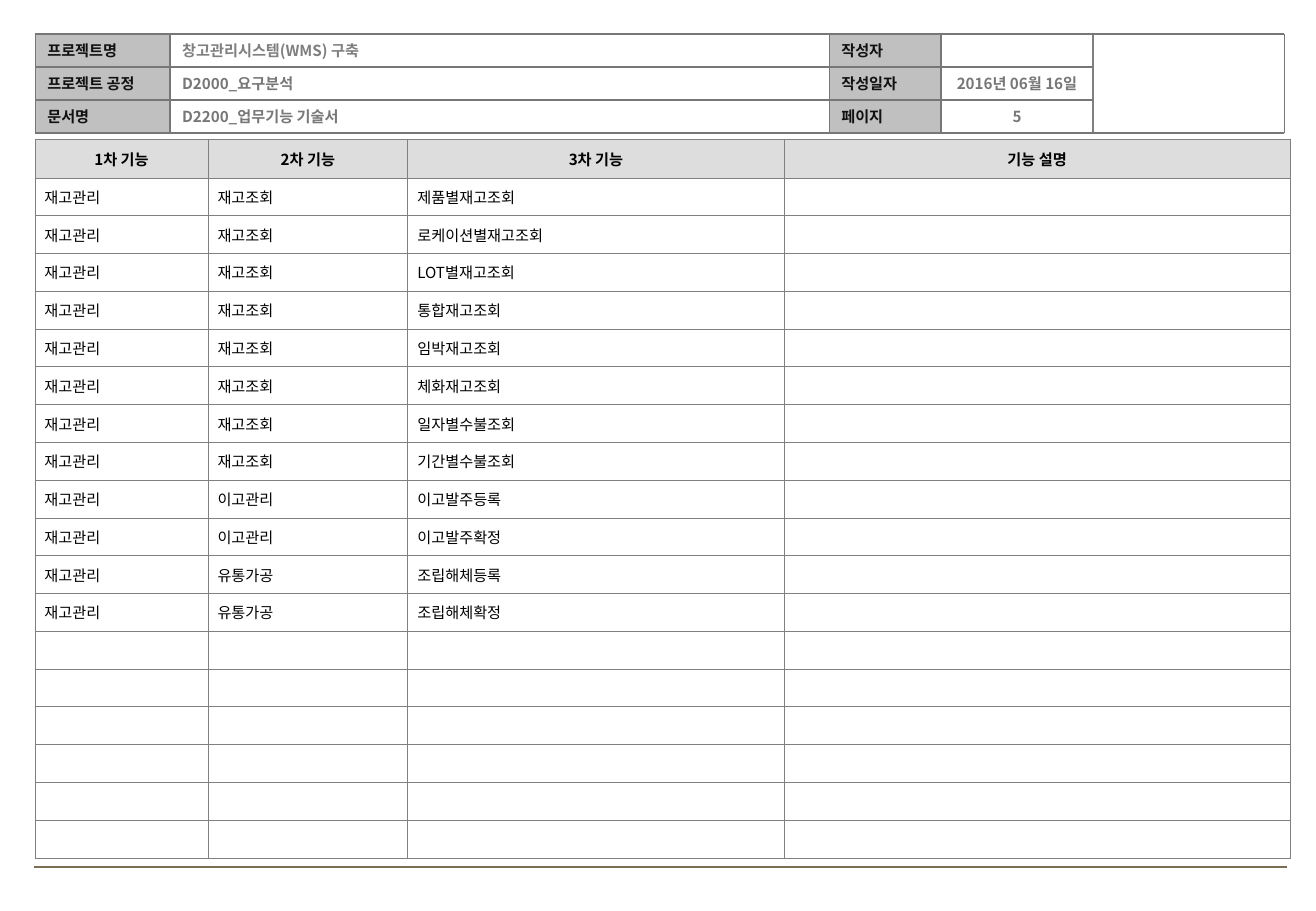
"""Builds the function description sheet of a warehouse system project."""
import lxml.etree
import pptx
import pptx.dml.color
import pptx.enum.shapes
import pptx.enum.text
import pptx.oxml.ns
import pptx.util

Cm, Pt = pptx.util.Cm, pptx.util.Pt
RGB = pptx.dml.color.RGBColor.from_string
ALIGN = pptx.enum.text.PP_ALIGN
MID = pptx.enum.text.MSO_ANCHOR.MIDDLE
qn = pptx.oxml.ns.qn

THEME = {
    "font": "Noto Sans CJK KR", "size": 9,
    "label": "111111", "value": "777777", "name": "7F7F7F", "text": "000000",
    "tag": "C0C0C0", "head": "DDDDDD",
    "rule": "777777", "edge": "808080", "foot": "7A6F54",
    "thin": 0.45, "line": 1, "thick": 1.75,
}

FORM = [
    ("프로젝트명", "창고관리시스템(WMS) 구축", "작성자", ""),
    ("프로젝트 공정", "D2000_요구분석", "작성일자", "2016년 06월 16일"),
    ("문서명", "D2200_업무기능 기술서", "페이지", "5"),
]
HEADS = ["1차 기능", "2차 기능", "3차 기능", "기능 설명"]
STOCK = "재고관리"
TASKS = [
    ("재고조회", ["제품별재고조회", "로케이션별재고조회", "LOT별재고조회",
              "통합재고조회", "임박재고조회", "체화재고조회",
              "일자별수불조회", "기간별수불조회"]),
    ("이고관리", ["이고발주등록", "이고발주확정"]),
    ("유통가공", ["조립해체등록", "조립해체확정"]),
]
SPARE = 6

EDGES = [0.74, 3.56, 17.35, 19.69, 22.86, 26.87]
TOP, STEP = 0.71, 0.69
WIDTHS = [3.62, 4.18, 7.87, 10.59]
LEFT, START, HEAD_H, ROW_H = 0.73, 2.91, 0.81, 0.79
FOOT = (0.71, 18.13, 26.92, 18.13)


def write(frame, text, color, bold=False, align=ALIGN.LEFT):
    """Put one styled line of text in a frame."""
    frame.text = text
    para = frame.paragraphs[0]
    para.alignment = align
    for run in para.runs:
        font = run.font
        font.size, font.bold = Pt(THEME["size"]), bold
        font.color.rgb = RGB(color)
        font.name = THEME["font"]
        lxml.etree.SubElement(run._r.rPr, qn("a:ea"), typeface=THEME["font"])
    if not text:
        size = str(THEME["size"] * 100)
        lxml.etree.SubElement(para._p, qn("a:endParaRPr"), sz=size)


def rule(slide, ends, color, width):
    """Draw a straight line between two points."""
    kind = pptx.enum.shapes.MSO_CONNECTOR.STRAIGHT
    line = slide.shapes.add_connector(kind, *map(Cm, ends))
    line.line.color.rgb = RGB(color)
    line.line.width = Pt(width)
    lxml.etree.SubElement(line._element.spPr, qn("a:effectLst"))


def entry(slide, row, col, text):
    """Place one label or value of the form."""
    box = [Cm(n) for n in (EDGES[col], TOP + row * STEP,
                           EDGES[col + 1] - EDGES[col], STEP)]
    tag = col % 2 == 0
    if tag:
        kind = pptx.enum.shapes.MSO_SHAPE.RECTANGLE
        shape = slide.shapes.add_shape(kind, *box)
        shape.shadow.inherit = False
        shape.fill.solid()
        shape.fill.fore_color.rgb = RGB(THEME["tag"])
        shape.line.fill.background()
    else:
        shape = slide.shapes.add_textbox(*box)
    frame = shape.text_frame
    frame.word_wrap, frame.vertical_anchor = True, MID
    center = col == 3
    frame.margin_left = frame.margin_right = Cm(0 if center else 0.25)
    frame.margin_top = frame.margin_bottom = 0
    tone = "label" if tag else "value" if row or center else "name"
    write(frame, text, THEME[tone], True, ALIGN.CENTER if center else ALIGN.LEFT)


def form(slide):
    """Draw the document form with its grid lines."""
    for row, items in enumerate(FORM):
        for col, text in enumerate(items):
            if text:
                entry(slide, row, col, text)
    last = len(FORM)
    for x in EDGES:
        color = THEME["edge" if x == EDGES[4] else "rule"]
        rule(slide, (x, TOP, x, TOP + last * STEP), color, THEME["line"])
    for row in range(last + 1):
        y = TOP + row * STEP
        end = EDGES[-1] if row in (0, last) else EDGES[-2]
        rule(slide, (EDGES[0], y, end, y), THEME["rule"], THEME["line"])


def border(cell):
    """Give a cell thin lines on its four sides."""
    props = cell._tc.get_or_add_tcPr()
    for side in ("lnL", "lnR", "lnT", "lnB"):
        width = str(int(Pt(THEME["thin"])))
        line = lxml.etree.SubElement(props, qn("a:" + side), w=width)
        fill = lxml.etree.SubElement(line, qn("a:solidFill"))
        lxml.etree.SubElement(fill, qn("a:srgbClr"), val=THEME["edge"])


def chart(slide):
    """Build the table of functions."""
    rows = [HEADS]
    rows += [(STOCK, group, task, "") for group, tasks in TASKS for task in tasks]
    rows += [[""] * len(HEADS)] * SPARE
    high = HEAD_H + ROW_H * (len(rows) - 1)
    table = slide.shapes.add_table(len(rows), len(HEADS), Cm(LEFT), Cm(START),
                                   Cm(sum(WIDTHS)), Cm(high)).table
    table.horz_banding = False
    for col, width in enumerate(WIDTHS):
        table.columns[col].width = Cm(width)
    for row, items in enumerate(rows):
        head = row == 0
        table.rows[row].height = Cm(HEAD_H if head else ROW_H)
        for col, text in enumerate(items):
            cell = table.cell(row, col)
            cell.vertical_anchor = MID
            cell.margin_left = cell.margin_right = Cm(0.2)
            cell.margin_top = cell.margin_bottom = Cm(0.13)
            border(cell)
            if head:
                cell.fill.solid()
                cell.fill.fore_color.rgb = RGB(THEME["head"])
            else:
                cell.fill.background()
            write(cell.text_frame, text, THEME["text"], head,
                  ALIGN.CENTER if head else ALIGN.LEFT)


def main():
    """Build and save the slide."""
    deck = pptx.Presentation()
    deck.slide_width, deck.slide_height = Cm(27.53), Cm(19.05)
    slide = deck.slides.add_slide(deck.slide_layouts[6])
    rule(slide, FOOT, THEME["foot"], THEME["thick"])
    form(slide)
    chart(slide)
    deck.save("out.pptx")


if __name__ == "__main__":
    main()
